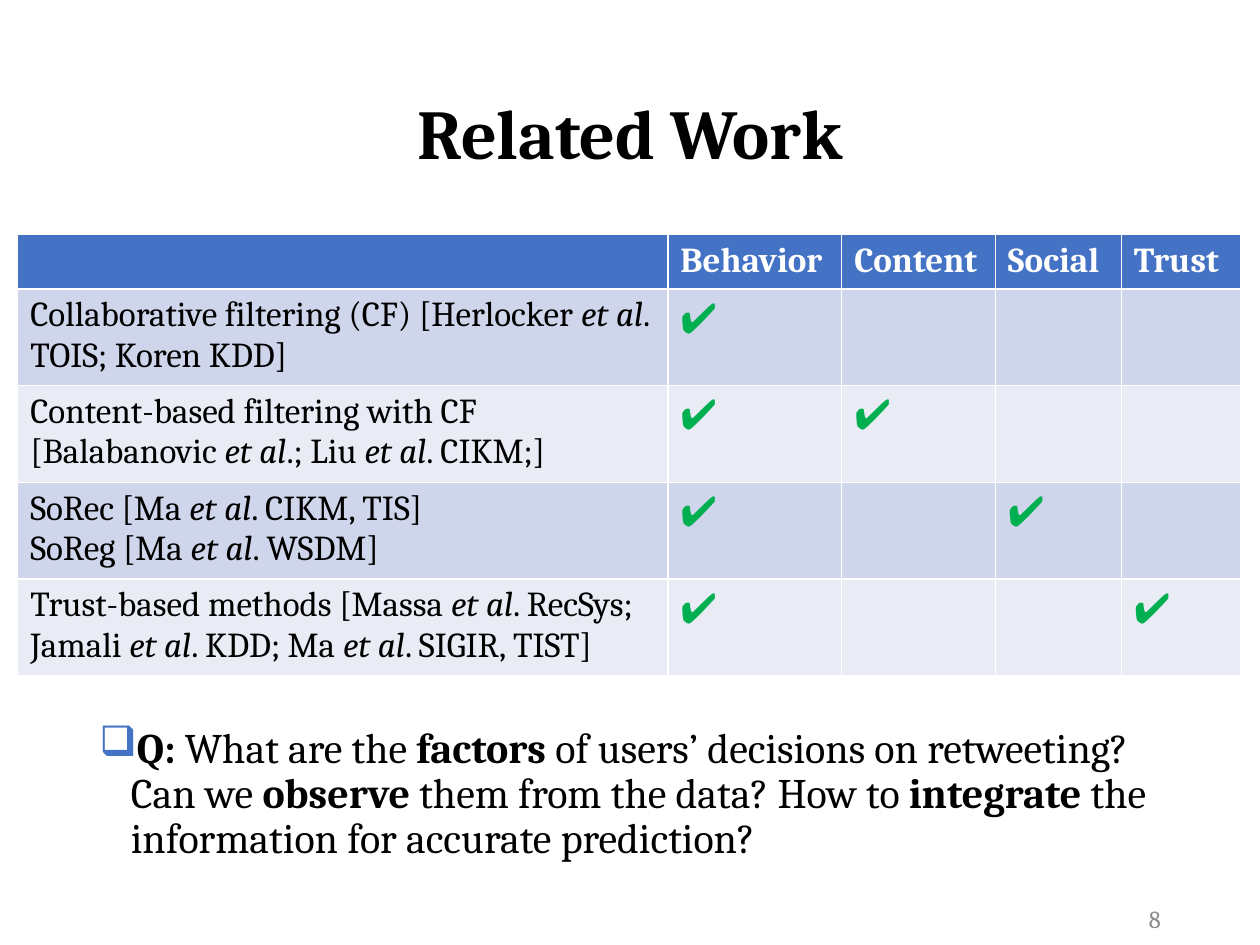
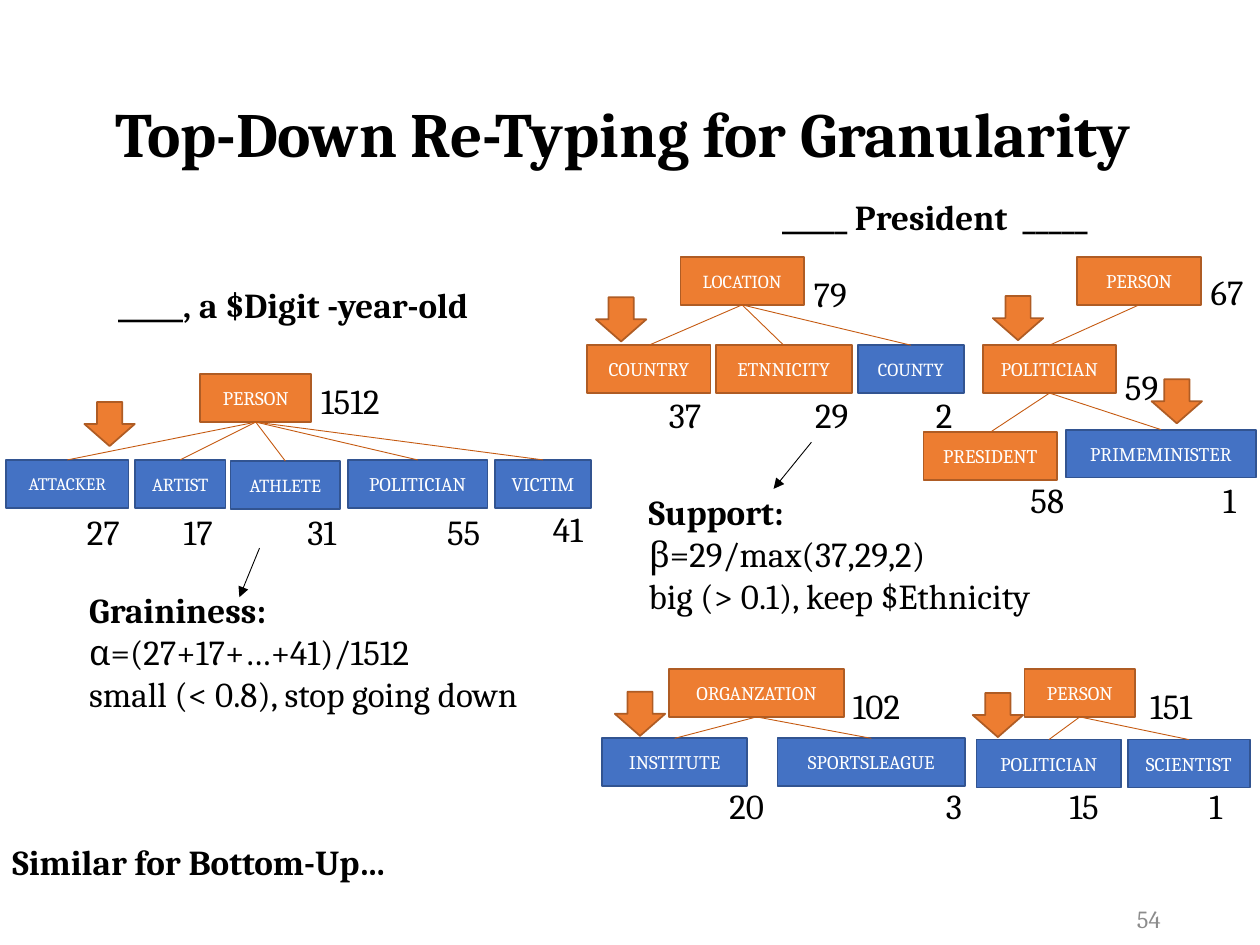
from dataclasses import dataclass

from lxml.etree import SubElement
from pptx import Presentation
from pptx.dml.color import RGBColor
from pptx.enum.shapes import MSO_CONNECTOR as Connector, MSO_SHAPE as Shape
from pptx.enum.text import MSO_ANCHOR as Anchor, PP_ALIGN as Align
from pptx.oxml.ns import qn
from pptx.util import Inches, Pt

COLUMNS, ROWS = 100, 75
FONT = "Cambria"
BLACK, WHITE, GRAY, GREEN = "000000", "FFFFFF", "8C8C8C", "00B050"
BLUE, BLUE_LINE = "4472C4", "325491"
ORANGE, ORANGE_LINE, EDGE = "ED7D31", "AF5C24", "C55A11"
BANDS = ["CFD5EA", "E9EBF5"]
BOX_HEIGHT = 3.8
CHECK = "✔"

HEADERS = ["", "Behavior", "Content", "Social", "Trust"]
TABLE_COLUMNS = [51.6, 13.8, 12.2, 10, 9.5]
METHODS = [
    ("Collaborative filtering (CF) [Herlocker *et al*. TOIS; Koren KDD]", {1}),
    ("Content-based filtering with CF [Balabanovic *et al*.; Liu *et al*. CIKM;]", {1, 2}),
    ("SoRec [Ma *et al*. CIKM, TIS]\nSoReg [Ma *et al*. WSDM]", {1, 3}),
    ("Trust-based methods [Massa *et al*. RecSys; Jamali *et al*. KDD; "
     "Ma *et al*. SIGIR, TIST]", {1, 4}),
]
QUESTION = ("*Q: *What are the *factors *of users’ decisions on retweeting? Can we *observe *"
            "them from the data? How to *integrate *the information for accurate prediction?")


@dataclass
class Node:
    label: str
    left: float
    top: float
    width: float
    count: str
    count_left: float
    count_top: float
    kept: bool = False
    size: float = 11
    children: tuple = ()


TREES = [
    Node("PERSON", 15.9, 29.7, 8.8, "1512", 24.5, 29.6, True, children=(
        Node("ATTACKER", 0.5, 36.5, 9.7, "27", 5.9, 40, size=10),
        Node("ARTIST", 10.7, 36.5, 7.2, "17", 13.6, 40, size=10.5),
        Node("ATHLETE", 18.3, 36.6, 8.7, "31", 23.4, 40, size=10.5),
        Node("POLITICIAN", 27.6, 36.5, 11.1, "55", 34.5, 40),
        Node("VICTIM", 39.3, 36.5, 7.6, "41", 42.9, 39.8))),
    Node("LOCATION", 54, 20.4, 9.8, "79", 63.6, 21.1, True, 10.5, (
        Node("COUNTRY", 46.6, 27.4, 9.8, "37", 52.1, 30.7, True),
        Node("ETNNICITY", 56.8, 27.4, 10.8, "29", 63.7, 30.7, True),
        Node("COUNTY", 68.1, 27.4, 8.4, "2", 73.3, 30.7, size=10.5))),
    Node("PERSON", 85.5, 20.4, 9.8, "67", 95.1, 21, True, children=(
        Node("POLITICIAN", 78, 27.4, 10.6, "59", 88.3, 28.5, True, children=(
            Node("PRESIDENT", 73.3, 34.3, 10.6, "58", 80.8, 37.5, True),
            Node("PRIMEMINISTER", 84.6, 34.1, 15.1, "1", 96.1, 37.5))),)),
    Node("ORGANZATION", 53.1, 53.1, 13.9, "102", 66.7, 53.8, True, children=(
        Node("INSTITUTE", 47.8, 58.6, 11.5, "20", 56.9, 61.8),
        Node("SPORTSLEAGUE", 61.7, 58.6, 14.9, "3", 74.1, 61.8))),
    Node("PERSON", 81.3, 53.1, 8.8, "151", 90.3, 53.8, True, children=(
        Node("POLITICIAN", 77.5, 58.7, 11.5, "15", 83.9, 61.8),
        Node("SCIENTIST", 89.5, 58.7, 9.7, "1", 95, 61.8))),
]
MARKERS = [(6.7, 31.9), (47.3, 23.6), (78.8, 23.5), (48.8, 54.9), (77.2, 55), (91.4, 30.1)]
NOTES = [
    ("*_____, a $Digit -year-old*", 8.4, 22, 31.3, 4.4),
    ("*_____ President  _____*", 61.1, 15, 29.5, 4.4),
    ("*Graininess:*\nα=(27+17+…+41)/1512\nsmall (< 0.8), stop going down", 6.1, 46.2, 36.5, 11.1),
    ("*Support:*\nβ=29/max(37,29,2)\nbig (> 0.1), keep $Ethnicity", 50.5, 38.4, 33.4, 11.1),
    ("*Similar for Bottom-Up…*", 0, 66.2, 32, 4.4),
]
POINTERS = [(20.6, 43.5, 19, 47.4), (64.4, 35.1, 61.4, 38.8)]


def color(value):
    return RGBColor.from_string(value)


def grid(*cells):
    return [Inches(cell / 10) for cell in cells]


def write(frame, text, size=20, ink=BLACK, emphasis="bold", align=Align.LEFT,
          anchor=Anchor.TOP, spacing=None, wrap=True):
    frame.word_wrap = wrap
    frame.vertical_anchor = anchor
    for index, line in enumerate(text.split("\n")):
        paragraph = frame.paragraphs[0] if index == 0 else frame.add_paragraph()
        paragraph.alignment = align
        paragraph.line_spacing = spacing
        for part, words in enumerate(line.split("*")):
            if words:
                run = paragraph.add_run()
                run.text = words
                run.font.name, run.font.size = FONT, Pt(size)
                run.font.color.rgb = color(ink)
                setattr(run.font, emphasis, part % 2 == 1)


def add_text(slide, text, left, top, width, height, **style):
    shape = slide.shapes.add_textbox(*grid(left, top, width, height))
    write(shape.text_frame, text, **style)
    return shape


def add_slide(presentation, title, title_size, number):
    slide = presentation.slides.add_slide(presentation.slide_layouts[6])
    add_text(slide, f"*{title}*", 6.9, 6.7, 86.2, 8.4, size=title_size,
             align=Align.CENTER, anchor=Anchor.MIDDLE, spacing=0.9)
    add_text(slide, number, 70.6, 71.7, 22.5, 2.5, size=14, ink=GRAY,
             align=Align.RIGHT, anchor=Anchor.MIDDLE)
    return slide


def add_bullet(paragraph, character, ink):
    properties = paragraph._p.get_or_add_pPr()
    indent = Inches(0.25)
    properties.set("marL", str(indent))
    properties.set("indent", str(-indent))
    bullet_color = SubElement(properties, qn("a:buClr"))
    SubElement(bullet_color, qn("a:srgbClr"), val=ink)
    SubElement(properties, qn("a:buChar"), char=character)


def fill_cell(cell, text, fill, **style):
    cell.fill.solid()
    cell.fill.fore_color.rgb = color(fill)
    write(cell.text_frame, text, **style)


def add_methods_table(slide):
    frame = slide.shapes.add_table(len(METHODS) + 1, len(HEADERS),
                                   *grid(1.4, 18.6, sum(TABLE_COLUMNS), 33.7))
    table = frame.table
    for column, width in zip(table.columns, grid(*TABLE_COLUMNS)):
        column.width = width
    for row, height in zip(table.rows, grid(4.1, *[7.4] * len(METHODS))):
        row.height = height
    for column, header in enumerate(HEADERS):
        fill_cell(table.cell(0, column), f"*{header}*", BLUE, ink=WHITE)
    for row, (method, checked) in enumerate(METHODS, 1):
        band = BANDS[(row - 1) % 2]
        fill_cell(table.cell(row, 0), method, band, emphasis="italic")
        for column in range(1, len(HEADERS)):
            fill_cell(table.cell(row, column), CHECK if column in checked else "",
                      band, size=24, ink=GREEN)


def add_block(slide, kind, left, top, width, height, fill, outline):
    shape = slide.shapes.add_shape(kind, *grid(left, top, width, height))
    shape.shadow.inherit = False
    shape.fill.solid()
    shape.fill.fore_color.rgb = color(fill)
    shape.line.color.rgb = color(outline)
    shape.line.width = Pt(1)
    return shape


def add_line(slide, ink, ends=(0, 0, 0, 0), arrow=False):
    line = slide.shapes.add_connector(Connector.STRAIGHT, *grid(*ends))
    line.line.color.rgb = color(ink)
    line.line.width = Pt(0.5)
    if arrow:
        SubElement(line.line._get_or_add_ln(), qn("a:tailEnd"), type="triangle")
    SubElement(line._element.spPr, qn("a:effectLst"))
    return line


def add_tree(slide, node):
    fill, outline = (ORANGE, ORANGE_LINE) if node.kept else (BLUE, BLUE_LINE)
    box = add_block(slide, Shape.RECTANGLE, node.left, node.top, node.width, BOX_HEIGHT,
                    fill, outline)
    write(box.text_frame, node.label, size=node.size, ink=WHITE,
          align=Align.CENTER, anchor=Anchor.MIDDLE)
    add_text(slide, node.count, node.count_left, node.count_top,
             2 + 1.4 * len(node.count), 4.4, wrap=False)
    for child in node.children:
        child_box = add_tree(slide, child)
        edge = add_line(slide, EDGE)
        edge.begin_connect(box, 2)
        edge.end_connect(child_box, 0)
    return box


def build_related_work(presentation):
    slide = add_slide(presentation, "Related Work", 40, "8")
    add_methods_table(slide)
    question = add_text(slide, QUESTION, 6.9, 57.2, 86.2, 13, size=24, spacing=0.9)
    add_bullet(question.text_frame.paragraphs[0], "❑", BLUE)


def build_retyping(presentation):
    slide = add_slide(presentation, "Top-Down Re-Typing for Granularity ", 36, "54")
    for tree in TREES:
        add_tree(slide, tree)
    for left, top in MARKERS:
        add_block(slide, Shape.DOWN_ARROW, left, top, 4, 3.5, ORANGE, ORANGE_LINE)
    for text, *place in NOTES:
        add_text(slide, text, *place, wrap=False)
    for ends in POINTERS:
        add_line(slide, BLACK, ends, arrow=True)


def main():
    presentation = Presentation()
    presentation.slide_width, presentation.slide_height = grid(COLUMNS, ROWS)
    build_related_work(presentation)
    build_retyping(presentation)
    presentation.save("out.pptx")


if __name__ == "__main__":
    main()
